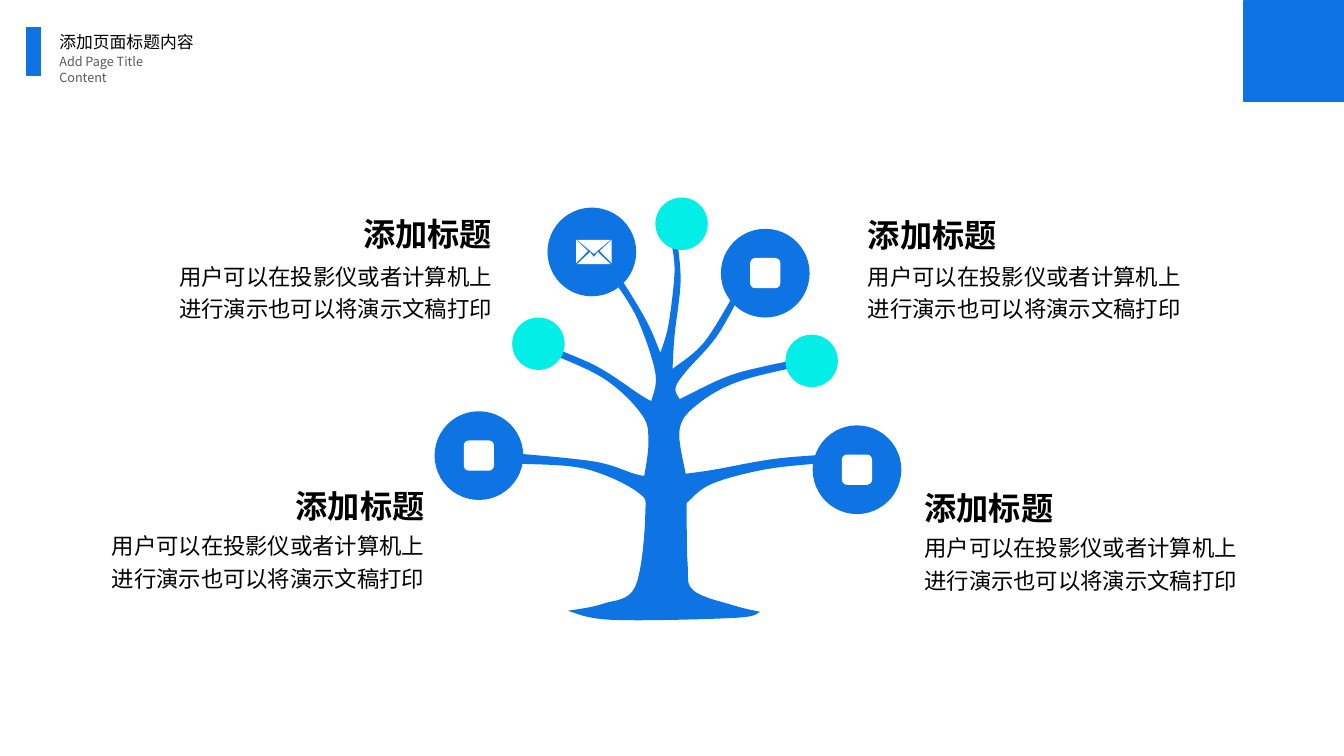
from pptx import Presentation
from pptx import util as u
from pptx.dml.color import RGBColor
from pptx.enum import shapes, text
from pptx.oxml.ns import qn
from lxml import etree

# Content: heading and body are shared by the four labels
HEADING = "添加标题"
BODY = "用户可以在投影仪或者计算机上进行演示也可以将演示文稿打印"
# left, heading top, body top, aligned right
LABELS = [
    (0.95, 4.7, 5.18, True),
    (9.07, 4.72, 5.2, False),
    (8.51, 2.01, 2.51, False),
    (1.62, 2, 2.51, True),
]
# text, box, size name, colour name, wraps
PAGE_TITLES = [
    ("添加页面标题内容", (0.49, 0.27, 1.55, 0.3), "page", "ink", False),
    ("Add Page Title Content", (0.49, 0.49, 1.45, 0.25), "note", "grey", True),
]
BARS = [(0.27, 0.27, 0.13, 0.48), (12.34, 0.01, 1, 1)]

# Circles: left, top
BIG_CIRCLES = [(5.43, 2.06), (7.15, 2.27), (4.31, 4.08), (8.06, 4.22)]
SMALL_CIRCLES = [(6.5, 1.96), (5.08, 3.15), (7.79, 3.32)]
BIG, SMALL, MARK = 0.88, 0.52, 0.3

# Tree outline: every run is a smooth curve that starts where the last one ends
TREE_START = (6.66, 2.41)
TREE_RUNS = [
    # top stem and upper left branch
    [(6.69, 2.7), (6.63, 3.22), (6.55, 3.5)],
    [(6.42, 3.2), (6.22, 2.86), (6.12, 2.72)],
    [(6.08, 2.77)],
    [(6.32, 3.16), (6.5, 3.7), (6.46, 3.98)],
    # left branches
    [(6.34, 3.91), (5.91, 3.63), (5.36, 3.4)],
    [(5.34, 3.46)],
    [(5.98, 3.75), (6.37, 4.12), (6.43, 4.4), (6.39, 4.72)],
    [(6.29, 4.7), (5.9, 4.58), (5.14, 4.5)],
    [(5.14, 4.6)],
    # trunk and ground
    [(5.8, 4.65), (6.32, 4.88), (6.4, 5.1), (6.3, 5.82), (5.98, 5.99), (5.63, 6.06)],
    [(6.07, 6.15), (7.29, 6.13), (7.54, 6.07)],
    [(7.29, 6.01), (6.88, 5.86), (6.82, 5.6), (6.81, 4.99)],
    # right branches
    [(7.06, 4.8), (7.63, 4.65), (8.36, 4.58)],
    [(8.36, 4.5)],
    [(7.7, 4.55), (7.08, 4.66), (6.8, 4.7)],
    [(6.74, 4.26), (6.92, 4.01), (7.34, 3.78), (8.09, 3.6)],
    [(8.06, 3.54)],
    [(7.6, 3.63), (7.2, 3.74), (6.74, 3.96)],
    [(6.7, 3.85), (6.8, 3.69), (7.1, 3.35), (7.33, 2.95)],
    [(7.28, 2.92)],
    [(6.98, 3.4), (6.67, 3.66)],
    [(6.69, 3.33), (6.75, 2.8), (6.72, 2.41)],
]

THEME = {
    "font": "Noto Sans CJK SC",
    "colour": {"blue": "0F74E3", "aqua": "04EEE8", "white": "FFFFFF",
               "ink": "000000", "grey": "595959"},
    "size": {"heading": 23, "body": 16, "page": 12, "note": 9},
}
CURVE_STEPS = 8

deck = Presentation()
deck.slide_width, deck.slide_height = u.Inches(13.33), u.Inches(7.5)
page = deck.slides.add_slide(deck.slide_layouts[6])


def colour(name):
    return RGBColor.from_string(THEME["colour"][name])


def paint(shape, fill, line=None):
    shape.shadow.inherit = False
    shape.fill.solid()
    shape.fill.fore_color.rgb = colour(fill)
    if line:
        shape.line.color.rgb = colour(line)
        shape.line.width = u.Pt(1)
    else:
        shape.line.fill.background()


def add_preset(kind, frame, fill, line=None):
    paint(page.shapes.add_shape(kind, *map(u.Inches, frame)), fill, line)


def add_outline(contours, fill):
    contours = [[(u.Inches(x), u.Inches(y)) for x, y in c] for c in contours]
    builder = page.shapes.build_freeform(*contours[0][0])
    for number, contour in enumerate(contours):
        if number:
            builder.move_to(*contour[0])
        builder.add_line_segments(contour[1:], close=True)
    paint(builder.convert_to_shape(), fill)


def between(a, b, c, d, t):
    """Catmull-Rom value between b and c."""
    return b + t / 2 * (c - a + t * (2 * a - 5 * b + 4 * c - d + t * (3 * (b - c) + d - a)))


def smooth(start, runs):
    points = [start]
    for run in runs:
        if len(run) == 1:
            points += run
            continue
        knots = [points[-1], points[-1], *run, run[-1]]
        for window in zip(knots, knots[1:], knots[2:], knots[3:]):
            for step in range(1, CURVE_STEPS + 1):
                points.append(tuple(between(*axis, step / CURVE_STEPS)
                                    for axis in zip(*window)))
    return points


def envelope(x, y, half_width=0.175, half_height=0.12, gap=0.02):
    left, right = x - half_width, x + half_width
    top, bottom = y - half_height, y + half_height
    inner = half_width / 3
    sides = [[(edge, top), (edge, bottom - gap / 2), (x + way * inner, y - gap / 2)]
             for edge, way in ((left, -1), (right, 1))]
    flap = [(left + gap / 2, top), (right - gap / 2, top), (x, y + gap)]
    base = [(left + gap / 2, bottom), (x - inner + gap, y), (x, y + 2.5 * gap),
            (x + inner - gap, y), (right - gap / 2, bottom)]
    return [*sides, flap, base]


def add_text(words, frame, size, ink="ink", bold=False, wrap=True, right=False, spacing=None):
    box = page.shapes.add_textbox(*map(u.Inches, frame))
    box.text_frame.word_wrap = wrap
    box.text_frame.auto_size = text.MSO_AUTO_SIZE.SHAPE_TO_FIT_TEXT
    para = box.text_frame.paragraphs[0]
    para.alignment = text.PP_ALIGN.RIGHT if right else text.PP_ALIGN.LEFT
    para.line_spacing = spacing
    span = para.add_run()
    span.text = words
    formats = {"name": THEME["font"], "size": u.Pt(THEME["size"][size]), "bold": bold}
    for name, value in formats.items():
        setattr(span.font, name, value)
    span.font.color.rgb = colour(ink)
    east_asian = etree.SubElement(span._r.get_or_add_rPr(), qn("a:ea"))
    east_asian.set("typeface", THEME["font"])


# Tree with its circles
add_outline([smooth(TREE_START, TREE_RUNS)], "blue")
for places, size, fill in ((SMALL_CIRCLES, SMALL, "aqua"), (BIG_CIRCLES, BIG, "blue")):
    for left, top in places:
        add_preset(shapes.MSO_SHAPE.OVAL, (left, top, size, size), fill)

# Envelope in the first big circle, a plain mark in the others
left, top = BIG_CIRCLES[0]
add_outline(envelope(left + BIG / 2 + 0.02, top + BIG / 2), "white")
inset = (BIG - MARK) / 2
for left, top in BIG_CIRCLES[1:]:
    add_preset(shapes.MSO_SHAPE.ROUNDED_RECTANGLE,
               (left + inset, top + inset, MARK, MARK), "white")

# Labels
BODY_WIDTH, HEADING_WIDTH = 3.36, 2.24
for left, heading_top, body_top, right in LABELS:
    heading_left = left + BODY_WIDTH - HEADING_WIDTH if right else left
    add_text(BODY, (left, body_top, BODY_WIDTH, 0.72), "body", right=right, spacing=1.2)
    add_text(HEADING, (heading_left, heading_top, HEADING_WIDTH, 0.53), "heading",
             bold=True, right=right, spacing=1.2)

# Page title and corner bars
for words, frame, size, ink, wrap in PAGE_TITLES:
    add_text(words, frame, size, ink, wrap=wrap)
for frame in BARS:
    add_preset(shapes.MSO_SHAPE.RECTANGLE, frame, "blue", "blue")

deck.save("out.pptx")
